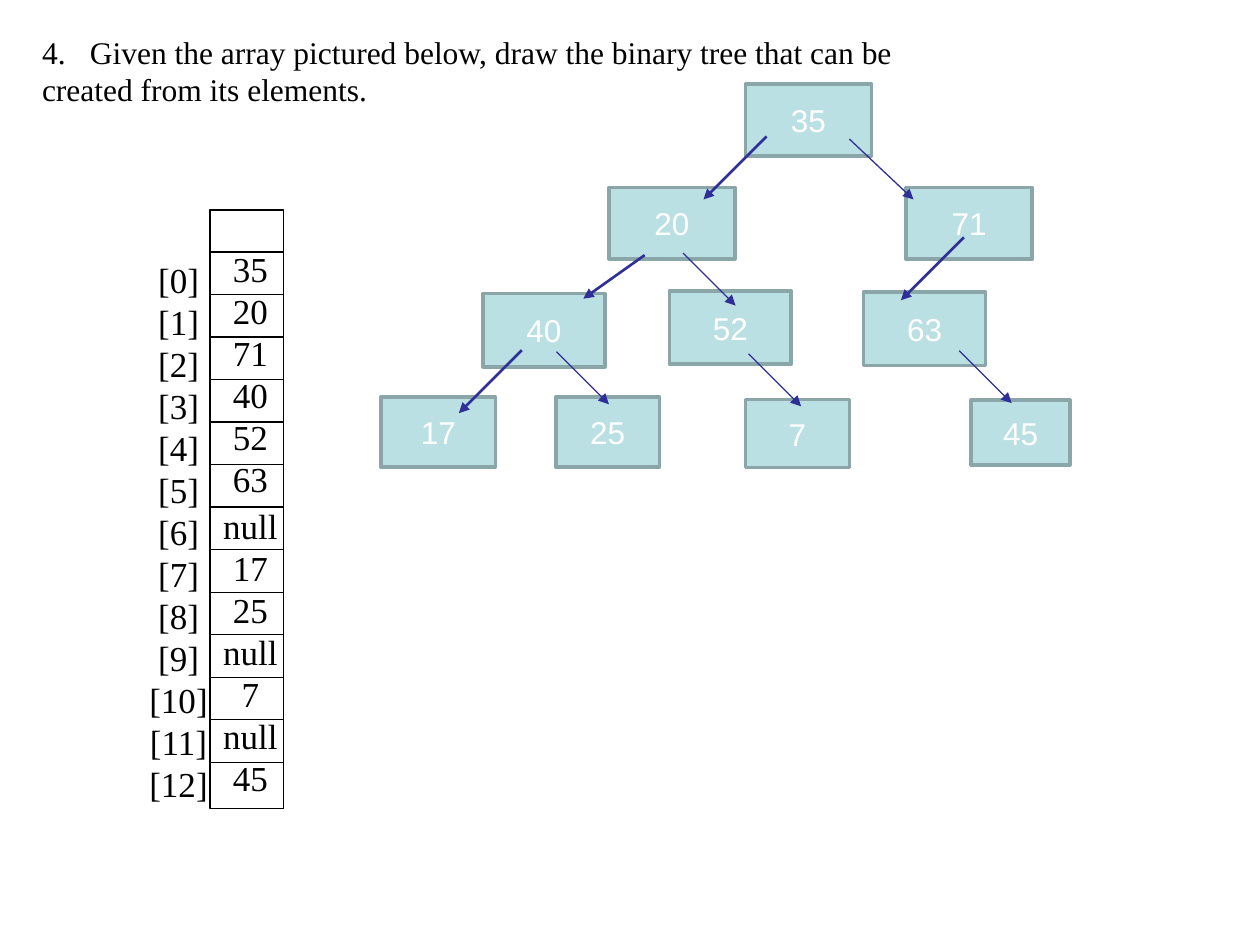
from dataclasses import dataclass
from typing import Any

from lxml.etree import SubElement
from pptx import Presentation
from pptx.dml.color import RGBColor
from pptx.enum.shapes import MSO_CONNECTOR, MSO_SHAPE
from pptx.enum.text import MSO_ANCHOR, MSO_AUTO_SIZE, PP_ALIGN
from pptx.oxml.ns import qn
from pptx.util import Inches, Pt

COLUMNS, ROWS = 120, 90  # grid of the slide


def color(value):
    return RGBColor.from_string(value)


@dataclass
class TreeSlide:
    deck: Any
    page: Any
    serif: str = "Times New Roman"
    sans: str = "Arial"
    ink: str = "000000"
    node_fill: str = "BBE0E3"
    node_line: str = "8AA6A8"
    arrow_ink: str = "2F2F98"

    def x(self, columns):
        return round(self.deck.slide_width * columns / COLUMNS)

    def y(self, rows):
        return round(self.deck.slide_height * rows / ROWS)

    def area(self, left, top, width, height):
        return self.x(left), self.y(top), self.x(width), self.y(height)

    def set_lines(self, frame, lines, size, font, ink, align=PP_ALIGN.CENTER):
        frame.word_wrap = True
        for number, line in enumerate(lines):
            para = frame.paragraphs[0] if number == 0 else frame.add_paragraph()
            para.text = line
            para.alignment = align
            para.font.size = Pt(size)
            para.font.name = font
            para.font.color.rgb = color(ink)

    def question(self, lines, number, *area):
        title = self.page.shapes.title
        title.left, title.top, title.width, title.height = self.area(*area)
        frame = title.text_frame
        frame.auto_size = MSO_AUTO_SIZE.NONE
        frame.vertical_anchor = MSO_ANCHOR.TOP
        self.set_lines(frame, lines, 18, self.serif, self.ink, PP_ALIGN.LEFT)
        numbered = frame.paragraphs[0]._p.get_or_add_pPr()
        numbered.set("marL", str(Inches(0.38)))
        numbered.set("indent", str(-Inches(0.38)))
        # Bullet elements come before the default run properties
        for default in numbered.findall(qn("a:defRPr")):
            numbered.remove(default)
            numbered.append(default)
        marker = SubElement(numbered, qn("a:buAutoNum"), type="arabicPeriod",
                            startAt=str(number))
        numbered.insert(0, marker)

    def text_column(self, lines, *area):
        box = self.page.shapes.add_textbox(*self.area(*area))
        frame = box.text_frame
        frame.margin_left = frame.margin_right = 0
        self.set_lines(frame, lines, 20, self.serif, self.ink)
        return frame

    def rectangle(self, area, fill, ink, weight):
        box = self.page.shapes.add_shape(MSO_SHAPE.RECTANGLE, *self.area(*area))
        box.shadow.inherit = False
        if fill:
            box.fill.solid()
            box.fill.fore_color.rgb = color(fill)
        else:
            box.fill.background()
        box.line.color.rgb = color(ink)
        box.line.width = Pt(weight)
        return box

    def node(self, label, area):
        frame = self.rectangle(area, self.node_fill, self.node_line, 2).text_frame
        frame.vertical_anchor = MSO_ANCHOR.MIDDLE
        self.set_lines(frame, [label], 18, self.sans, "FFFFFF")

    def line(self, left, top, across, down, ink, weight, arrow=False):
        line = self.page.shapes.add_connector(
            MSO_CONNECTOR.STRAIGHT, self.x(left), self.y(top),
            self.x(left + across), self.y(top + down))
        line.line.color.rgb = color(ink)
        line.line.width = Pt(weight)
        properties = line._element.spPr
        if arrow:
            SubElement(properties.get_or_add_ln(), qn("a:tailEnd"), type="triangle")
        SubElement(properties, qn("a:effectLst"))


deck = Presentation()
deck.slide_width, deck.slide_height = Inches(10), Inches(7.5)
slide = TreeSlide(deck, deck.slides.add_slide(deck.slide_layouts[5]))

# Question
slide.question(["Given the array pictured below, draw the binary tree that can be",
                "created from its elements."], 4, 2.8, 2.5, 84.2, 8.5)

# Array: frame, row rules, indexes and values
values = ["35", "20", "71", "40", "52", "63", "null",
          "17", "25", "null", "7", "null", "45"]
slide.rectangle((20, 20, 7, 57), None, slide.ink, 0.75)
for row in range(len(values)):
    slide.line(20, 24 + 4.05 * row, 7, 0, slide.ink, 0.75)
slide.text_column([f"[{index}]" for index in range(len(values))], 13, 24, 8, 53.8)
cells = slide.text_column(values, 20, 22.95, 7.7, 53.8)
cells.paragraphs[values.index("null")].space_before = Pt(3)

# Tree nodes, by array index
nodes = {
    0: (71, 8, 12, 6.85), 1: (58, 17.85, 12, 6.85), 2: (86.3, 17.85, 12, 6.85),
    3: (46, 27.95, 11.6, 7), 4: (63.75, 27.7, 11.6, 7), 5: (82.25, 27.8, 11.6, 7),
    7: (36.3, 37.8, 10.9, 6.7), 8: (52.95, 37.8, 9.85, 6.7),
    10: (71, 38.05, 9.9, 6.5), 12: (92.5, 38.1, 9.4, 6.2),
}
for index, area in nodes.items():
    slide.node(values[index], area)

# Arrows, by index of the child: start and extent; odd indexes are left children
arrows = {
    1: (73, 13, -6, 6), 2: (80.9, 13.25, 6.1, 5.75),
    3: (61.4, 24.3, -5.85, 4.15), 4: (65.05, 24.1, 5, 5),
    5: (91.8, 22.6, -6, 6), 7: (49.7, 33.35, -6, 6), 8: (53, 33.5, 5, 5),
    10: (71.3, 33.7, 5, 5), 12: (91.35, 33.4, 5, 5),
}
for child, span in arrows.items():
    slide.line(*span, slide.arrow_ink, 1.5 if child % 2 else 0.75, arrow=True)

deck.save("out.pptx")
